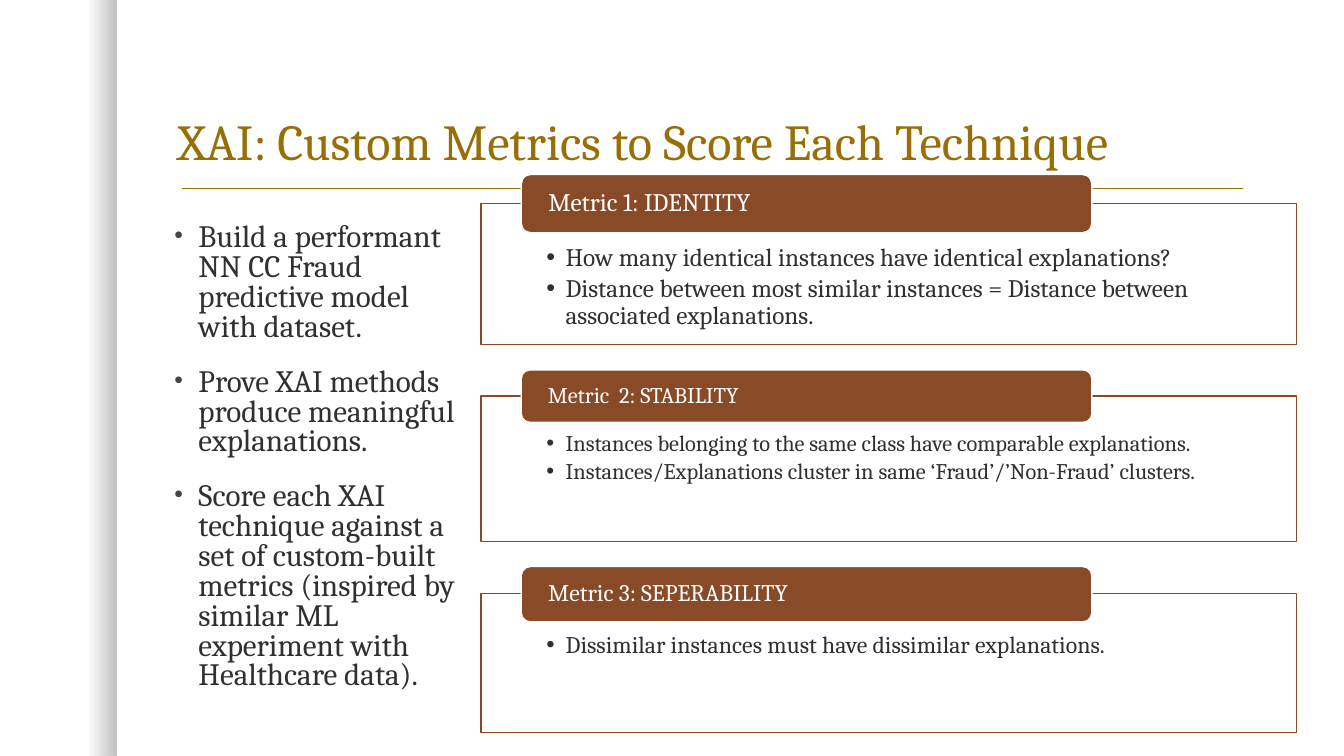
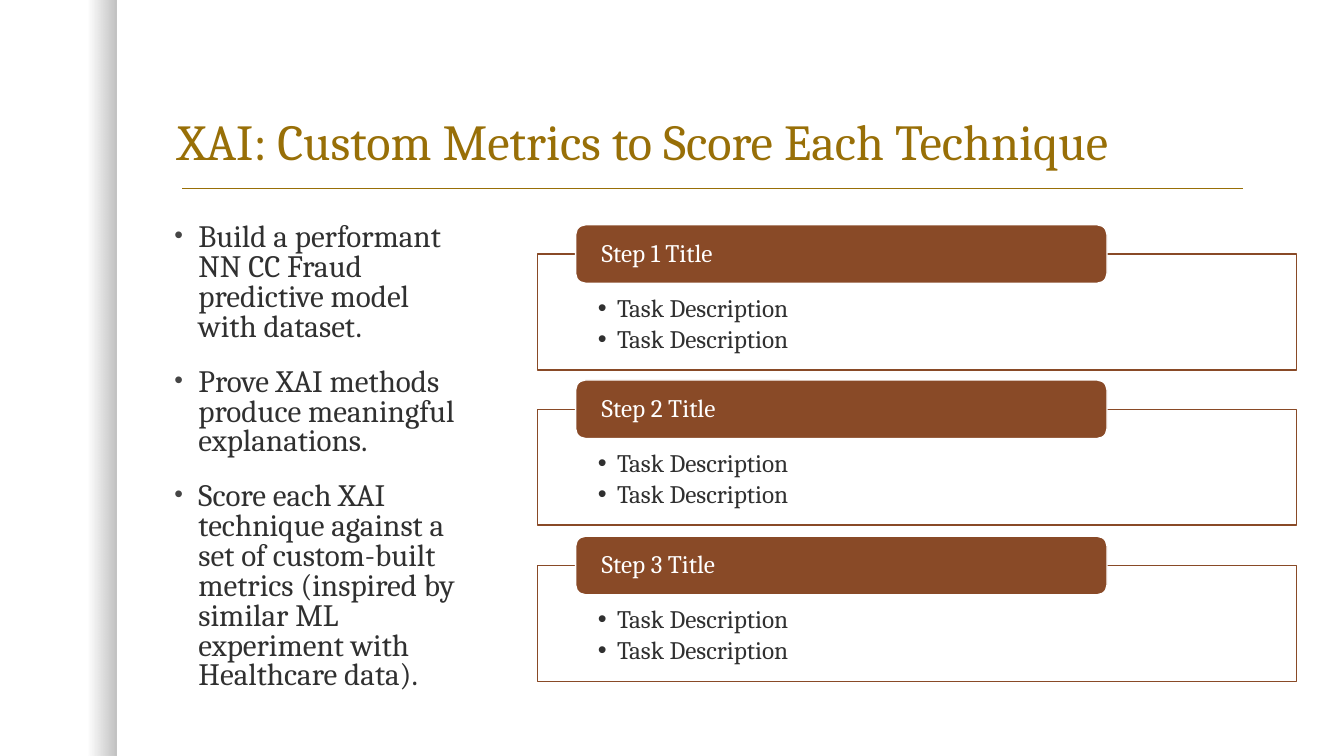
from lxml import etree
from pptx import Presentation, util as u
from pptx.dml.color import RGBColor
from pptx.enum import shapes, text
from pptx.oxml import ns

PX = 9144
GOLD, BROWN, WHITE = "986F07", "894A27", "FFFFFF"
INK, GREY, BLACK = "303030", "454545", "000000"
FONT = "Cambria"
TITLE = "XAI: Custom Metrics to Score Each Technique"
GOALS = [
    "Build a performant NN CC Fraud predictive model with dataset.",
    "Prove XAI methods produce meaningful explanations.",
    "Score each XAI technique against a set of custom-built metrics "
    "(inspired by similar ML experiment with Healthcare data).",
]
METRICS = [
    (202, 140, 18, "Metric 1: IDENTITY", [
        "How many identical instances have identical explanations?",
        "Distance between most similar instances = Distance between "
        "associated explanations.",
    ]),
    (393, 144, 16, "Metric  2: STABILITY", [
        "Instances belonging to the same class have comparable explanations.",
        "Instances/Explanations cluster in same ‘Fraud’/’Non-Fraud’ clusters.",
    ]),
    (589, 138, 17, "Metric 3: SEPERABILITY", [
        "Dissimilar instances must have dissimilar explanations.",
    ]),
]
STEPS = [
    (252 + 154 * i + i // 2, 115, 18, f"Step {i + 1} Title", ["Task Description"] * 2)
    for i in range(3)
]


def px(n):
    return u.Emu(round(n) * PX)


def rgb(code):
    return RGBColor.from_string(code)


def add(node, tag, **attrs):
    return etree.SubElement(node, ns.qn(tag), **attrs)


class Deck:
    def __init__(self):
        self.prs = Presentation()
        self.prs.slide_width, self.prs.slide_height = px(1333), px(750)

    def page(self):
        self.slide = self.prs.slides.add_slide(self.prs.slide_layouts[6])
        self.edge()
        self.rule(181, 187, 1233)
        title = self.box(166, 42, 1075, 133)
        title.text_frame.vertical_anchor = text.MSO_ANCHOR.BOTTOM
        self.label(title, [TITLE], 36, GOLD)
        goals = self.box(163, 217, 299, 512)
        self.label(goals, GOALS, 22.2, INK, lead=0.8, before=18)
        self.bullet(goals, 24, GREY, 80)

    def box(self, x, y, w, h):
        return self.slide.shapes.add_textbox(px(x), px(y), px(w), px(h))

    def shape(self, kind, x, y, w, h):
        item = self.slide.shapes.add_shape(kind, px(x), px(y), px(w), px(h))
        item.shadow.inherit = False
        return item

    def edge(self):
        bar = self.shape(shapes.MSO_SHAPE.RECTANGLE, 0, 0, 116, 750)
        bar.line.fill.background()
        bar.fill.gradient()
        bar.fill.gradient_angle = 0
        for stop, spot in zip(bar.fill.gradient_stops, (0.75, 1)):
            stop.color.rgb = rgb(BLACK)
            stop.position = spot
        self.alpha(bar, 0, 25)

    def alpha(self, item, *parts):
        paint = item.element.spPr.xpath("./*[not(self::a:ln)]//a:srgbClr")
        for node, part in zip(paint, parts):
            add(node, "a:alpha", val=str(part * 1000))

    def rule(self, x, y, end):
        line = self.slide.shapes.add_connector(
            shapes.MSO_CONNECTOR.STRAIGHT, px(x), px(y), px(end), px(y))
        line.line.color.rgb = rgb(GOLD)
        line.line.width = u.Pt(1)
        add(line.element.spPr, "a:effectLst")

    def paint(self, item, fill, line):
        item.fill.solid()
        item.fill.fore_color.rgb = rgb(fill)
        item.line.color.rgb = rgb(line)
        item.line.width = u.Pt(1)

    def inset(self, item, side, top=0, base=0):
        frame = item.text_frame
        frame.margin_left = frame.margin_right = px(side)
        frame.margin_top, frame.margin_bottom = px(top), px(base)

    def label(self, item, lines, size, color, lead=0.9, before=0, after=0):
        frame = item.text_frame
        frame.word_wrap = True
        frame.text = "\n".join(lines)
        for i, para in enumerate(frame.paragraphs):
            para.alignment = text.PP_ALIGN.LEFT
            para.line_spacing = lead
            para.space_before = u.Pt(before if i else 0)
            para.space_after = u.Pt(after)
            for run in para.runs:
                run.font.name, run.font.size = FONT, u.Pt(size)
                run.font.color.rgb = rgb(color)

    def bullet(self, item, dent, color, size=100):
        for para in item.text_frame.paragraphs:
            prop = para._p.get_or_add_pPr()
            prop.set("marL", str(px(dent)))
            prop.set("indent", str(-px(dent)))
            add(add(prop, "a:buClr"), "a:srgbClr", val=color)
            add(prop, "a:buSzPct", val=str(size * 1000))
            add(prop, "a:buFont", typeface="Arial")
            add(prop, "a:buChar", char="•")

    def card(self, x, y, w, h, size, head, lines):
        body = self.shape(shapes.MSO_SHAPE.RECTANGLE, x, y, w, h)
        self.paint(body, WHITE, BROWN)
        self.alpha(body, 90)
        body.text_frame.vertical_anchor = text.MSO_ANCHOR.TOP
        self.inset(body, w * 0.08, size * 2.28, size * 0.76)
        self.label(body, lines, size, INK, after=size * 0.15)
        self.bullet(body, 19, INK)
        high = size * 3.22
        tab = self.shape(shapes.MSO_SHAPE.ROUNDED_RECTANGLE,
                         x + w * 0.05, y - high / 2, w * 0.7, high)
        self.paint(tab, BROWN, WHITE)
        tab.text_frame.vertical_anchor = text.MSO_ANCHOR.MIDDLE
        self.inset(tab, w * 0.03)
        self.label(tab, [head], size, WHITE)

    def cards(self, x, w, items):
        for y, h, size, head, lines in items:
            self.card(x, y, w, h, size, head, lines)


def main():
    deck = Deck()
    for x, w, items in ((477, 809, METRICS), (533, 753, STEPS)):
        deck.page()
        deck.cards(x, w, items)
    deck.prs.save("out.pptx")


if __name__ == "__main__":
    main()
